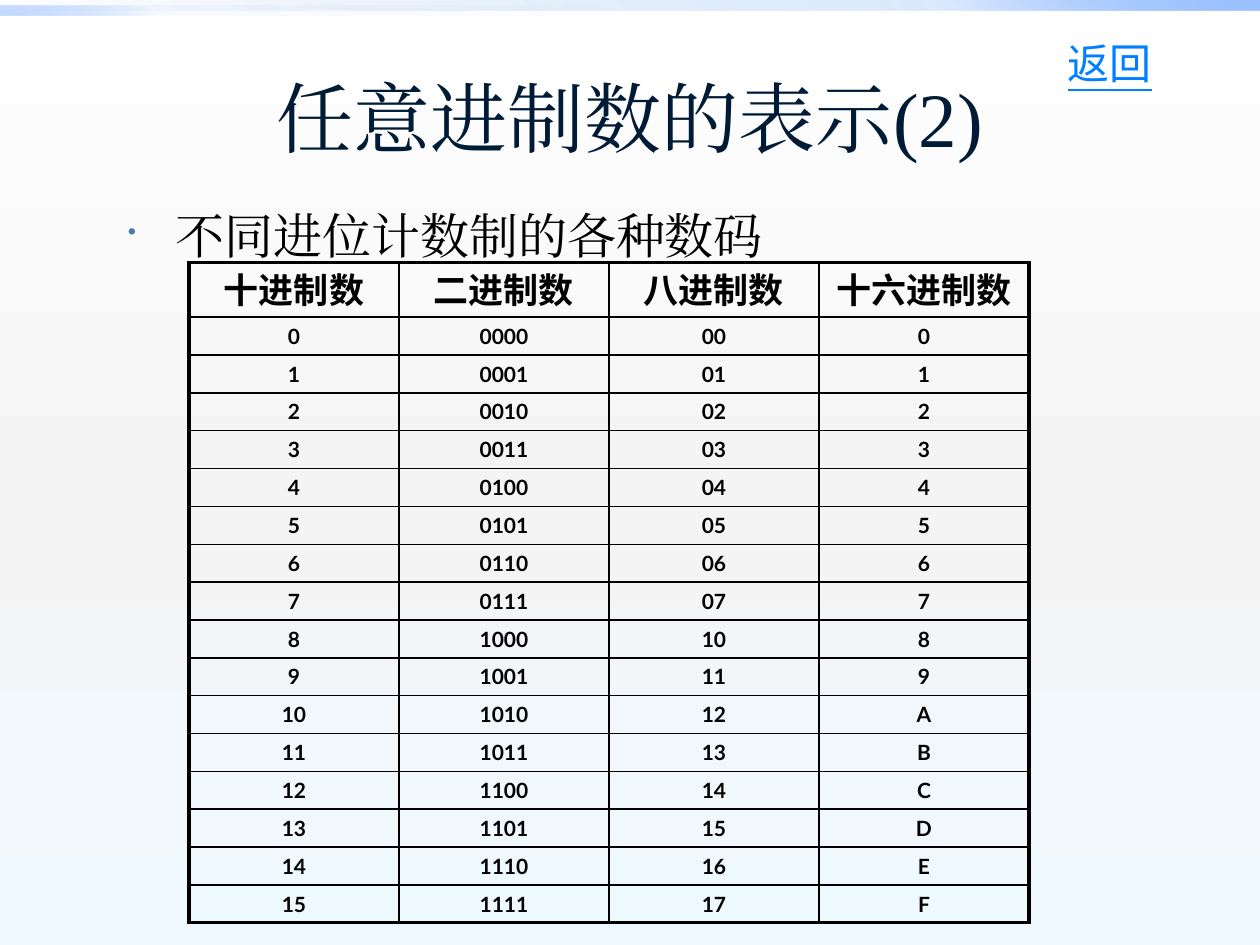
from lxml import etree
from pptx import Presentation
from pptx.dml.color import RGBColor
from pptx.enum.shapes import MSO_SHAPE
from pptx.enum.text import MSO_ANCHOR, PP_ALIGN
from pptx.oxml.ns import qn
from pptx.util import Inches, Pt

RECT = MSO_SHAPE.RECTANGLE
LEFT, CENTER = PP_ALIGN.LEFT, PP_ALIGN.CENTER
TOP, MIDDLE = MSO_ANCHOR.TOP, MSO_ANCHOR.MIDDLE

WIDTH, HEIGHT = Inches(10), Inches(7.5)
UNIT = WIDTH // 120

BLACK = RGBColor(0x00, 0x00, 0x00)
NAVY = RGBColor(0x00, 0x1B, 0x36)
LINK_BLUE = RGBColor(0x00, 0x80, 0xFF)
BULLET_BLUE = RGBColor(0x47, 0x7A, 0xB1)
DEEP_BLUE = RGBColor(0x00, 0x58, 0xB7)
MID_BLUE = RGBColor(0x4F, 0x95, 0xFF)
PALE_BLUE = RGBColor(0x9E, 0xC2, 0xFF)
WHITE = RGBColor(0xFF, 0xFF, 0xFF)
GREY = RGBColor(0xF4, 0xF4, 0xF4)
ICE = RGBColor(0xEE, 0xF9, 0xFF)

SERIF, SANS = "Times New Roman", "Lato"
THIN, THICK = Pt(1), Pt(2.25)
HEADERS = ["十进制数", "二进制数", "八进制数", "十六进制数"]
FORMATS = ["d", "04b", "02o", "X"]
HEADER_ROW, BODY_ROW = 5.2, 3.6


def grid(*cells):
    return [int(c * UNIT) for c in cells]


def add(parent, tag, **attrs):
    child = etree.SubElement(parent, qn(tag))
    for name, value in attrs.items():
        child.set(name, str(value))
    return child


def set_gradient(fill, element, angle, stops):
    fill.gradient()
    grad = element.find(".//" + qn("a:gradFill"))
    stop_list = grad.find(qn("a:gsLst"))
    for old in list(stop_list):
        stop_list.remove(old)
    for pos, color, alpha in stops:
        gs = add(stop_list, "a:gs", pos=pos * 1000)
        clr = add(gs, "a:srgbClr", val=color)
        if alpha < 100:
            add(clr, "a:alpha", val=alpha * 1000)
    lin = grad.find(qn("a:lin"))
    lin.set("ang", str(angle * 60000))
    lin.set("scaled", "0")


def add_bar(s, cells, angle, alphas):
    sp = s.shapes.add_shape(RECT, *grid(*cells))
    sp.shadow.inherit = False
    sp.line.fill.background()
    colors = (DEEP_BLUE, MID_BLUE, PALE_BLUE)
    set_gradient(sp.fill, sp._element, angle, zip((0, 75, 100), colors, alphas))


def style(p, name, size, color, bold=None, underline=None, align=LEFT):
    p.alignment = align
    p.font.name = name
    p.font.size = Pt(size)
    p.font.color.rgb = color
    p.font.bold = bold
    p.font.underline = underline
    latin = p._p.pPr.find(".//" + qn("a:latin"))
    ea = etree.Element(qn("a:ea"))
    ea.set("typeface", name)
    latin.addnext(ea)


def add_bullet(p, indent):
    pPr = p._p.get_or_add_pPr()
    pPr.set("marL", str(indent))
    pPr.set("indent", str(-indent))
    add(add(pPr, "a:buClr"), "a:srgbClr", val=BULLET_BLUE)
    add(pPr, "a:buSzPct", val=50000)
    add(pPr, "a:buChar", char="•")


def add_text(s, cells, text, *font, bullet=False, wrap=True, anchor=TOP, **options):
    tf = s.shapes.add_textbox(*grid(*cells)).text_frame
    tf.word_wrap = wrap
    tf.vertical_anchor = anchor
    p = tf.paragraphs[0]
    p.text = text
    if bullet:
        add_bullet(p, Inches(0.38))
    style(p, *font, **options)


def set_borders(cell, outer_sides):
    tcPr = cell._tc.get_or_add_tcPr()
    for i, side in enumerate("LRTB"):
        width = THICK if side in outer_sides else THIN
        ln = add(tcPr, f"a:ln{side}", w=width)
        add(add(ln, "a:solidFill"), "a:srgbClr", val=BLACK)
        tcPr.insert(i, ln)


def add_number_table(s, left, top, width):
    rows = [HEADERS] + [[format(n, f) for f in FORMATS] for n in range(16)]
    last_row, last_col = len(rows) - 1, len(HEADERS) - 1
    height = HEADER_ROW + BODY_ROW * last_row
    frame = s.shapes.add_table(len(rows), len(HEADERS), *grid(left, top, width, height))
    table = frame.table
    table.first_row = table.horz_banding = False
    for i, values in enumerate(rows):
        table.rows[i].height = int((BODY_ROW if i else HEADER_ROW) * UNIT)
        for j, value in enumerate(values):
            cell = table.cell(i, j)
            cell.fill.background()
            edges = {"L": j == 0, "R": j == last_col, "T": i == 0, "B": i == last_row}
            set_borders(cell, [side for side, outer in edges.items() if outer])
            p = cell.text_frame.paragraphs[0]
            p.text = value
            style(p, SANS, 12 if i else 20, BLACK, bold=True, align=CENTER)


def main():
    prs = Presentation()
    prs.slide_width, prs.slide_height = WIDTH, HEIGHT
    s = prs.slides.add_slide(prs.slide_layouts[6])
    set_gradient(s.background.fill, s._element, 90,
                 [(0, WHITE, 100), (55, GREY, 100), (100, ICE, 100)])
    add_bar(s, (0, 0, 120, 1), 315, (0, 20, 100))
    add_bar(s, (0, 0.5, 60, 1), 135, (0, 5, 60))
    add_text(s, (6, 3.6, 108, 15), "任意进制数的表示(2)", SERIF, 44, NAVY,
             anchor=MIDDLE, align=CENTER)
    add_text(s, (11, 19, 102, 66), "不同进位计数制的各种数码", SERIF, 28, BLACK,
             bullet=True)
    add_text(s, (100.5, 3, 10.4, 6), "返回", SANS, 24, LINK_BLUE,
             wrap=False, underline=True)
    add_number_table(s, 18, 25, 80)
    prs.save("out.pptx")


if __name__ == "__main__":
    main()
